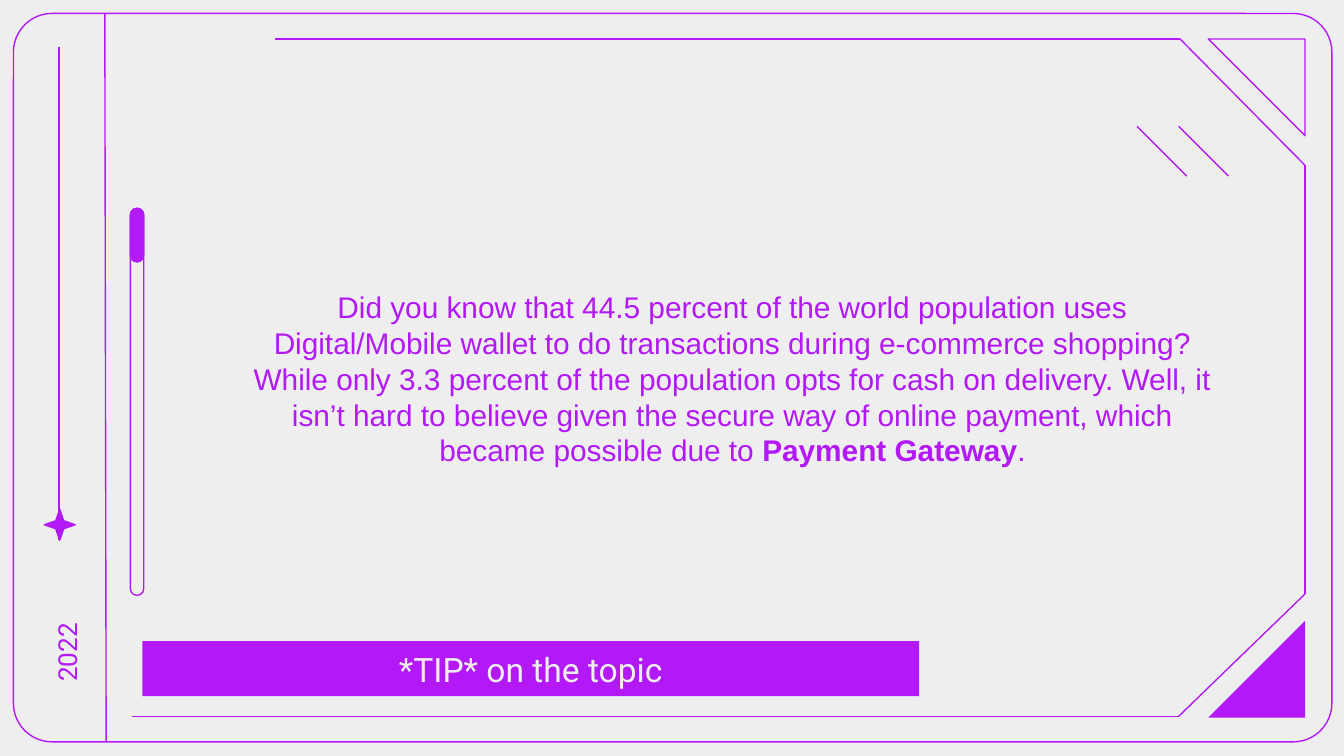
import dataclasses

import pptx
import pptx.dml.color
import pptx.enum.shapes
import pptx.enum.text
import pptx.oxml
import pptx.oxml.ns
import pptx.util

Inches = pptx.util.Inches
Pt = pptx.util.Pt
Kind = pptx.enum.shapes.MSO_SHAPE
Anchor = pptx.enum.text.MSO_ANCHOR
Align = pptx.enum.text.PP_ALIGN


@dataclasses.dataclass(frozen=True)
class Theme:
    paper: str = "EEEEEE"
    ink: str = "B219F6"
    title: int = 18
    body: int = 16
    year: int = 14
    line: float = 0.75
    sans: str = "Arial"
    head: str = "Roboto"


THEME = Theme()


def rgb(code):
    return pptx.dml.color.RGBColor.from_string(code)


def add_line(slide, start, end):
    line = slide.shapes.add_connector(
        pptx.enum.shapes.MSO_CONNECTOR.STRAIGHT,
        *(Inches(v) for v in (*start, *end)))
    line.line.color.rgb = rgb(THEME.ink)
    line.line.width = Pt(THEME.line)
    props = line._element.spPr
    props.append(pptx.oxml.parse_xml(
        "<a:effectLst %s/>" % pptx.oxml.ns.nsdecls("a")))


def add_path(slide, points):
    """Draw one straight line between each pair of neighbours."""
    for start, end in zip(points, points[1:]):
        add_line(slide, start, end)


def add_shape(slide, kind, box, fill=False, edge=True, adjust=None, turn=0):
    shape = slide.shapes.add_shape(kind, *(Inches(v) for v in box))
    shape.shadow.inherit = False
    shape.rotation = turn
    if adjust is not None:
        shape.adjustments[0] = adjust
    if fill:
        shape.fill.solid()
        shape.fill.fore_color.rgb = rgb(THEME.ink)
    else:
        shape.fill.background()
    if edge:
        shape.line.color.rgb = rgb(THEME.ink)
        shape.line.width = Pt(THEME.line)
    else:
        shape.line.fill.background()
    return shape


def set_text(shape, parts, size, face, color, anchor=Anchor.MIDDLE):
    """Fill a shape with one centred paragraph of (text, bold) parts."""
    frame = shape.text_frame
    frame.word_wrap = True
    frame.vertical_anchor = anchor
    para = frame.paragraphs[0]
    para.alignment = Align.CENTER
    for text, bold in parts:
        run = para.add_run()
        run.text = text
        run.font.size = Pt(size)
        run.font.name = face
        run.font.bold = bold
        run.font.color.rgb = rgb(color)


def add_text(slide, box, *args, **style):
    shape = slide.shapes.add_textbox(*(Inches(v) for v in box))
    set_text(shape, *args, **style)
    return shape


def add_frame(slide):
    add_shape(slide, Kind.ROUNDED_RECTANGLE, (0.1, 0.1, 9.81, 5.42),
              adjust=0.053)
    add_line(slide, (0.78, 0.1), (0.79, 5.52))
    add_path(slide, [(2.05, 0.29), (8.78, 0.29), (9.71, 1.23),
                     (9.71, 4.42), (8.77, 5.33), (0.98, 5.33)])
    add_shape(slide, Kind.RIGHT_TRIANGLE, (8.99, 4.62, 0.72, 0.72),
              fill=True, edge=False, turn=270)
    add_shape(slide, Kind.RIGHT_TRIANGLE, (8.99, 0.29, 0.72, 0.72), turn=180)


def add_marks(slide):
    for left in (8.46, 8.77):
        add_line(slide, (left, 0.94), (left + 0.37, 1.31))
    for height, fill in ((2.88, False), (0.4, True)):
        add_shape(slide, Kind.ROUNDED_RECTANGLE, (0.97, 1.55, 0.1, height),
                  fill=fill, adjust=0.5)


def add_words(slide):
    bar = add_shape(slide, Kind.RECTANGLE, (1.06, 4.77, 5.78, 0.41),
                    fill=True, edge=False)
    set_text(bar, [("*TIP* on the topic", False)],
             THEME.title, THEME.head, THEME.paper)
    fact = ("Did you know that 44.5 percent of the world population uses "
            "Digital/Mobile wallet to do transactions during e-commerce "
            "shopping? While only 3.3 percent of the population opts for "
            "cash on delivery. Well, it isn’t hard to believe given the "
            "secure way of online payment, which became possible due to ")
    add_text(slide, (1.75, 2.11, 7.4, 1.41),
             [(fact, False), ("Payment Gateway", True), (".", False)],
             THEME.body, THEME.sans, THEME.ink)


def add_year(slide):
    year = add_text(slide, (-0.03, 4.74, 0.95, 0.23), [("2022", False)],
                    THEME.year, THEME.head, THEME.ink, anchor=Anchor.TOP)
    year.rotation = 270
    add_shape(slide, Kind.STAR_4_POINT, (0.33, 3.79, 0.23, 0.23),
              fill=True, adjust=0.182)
    add_line(slide, (0.44, 4.02), (0.44, 0.35))


def main():
    deck = pptx.Presentation()
    deck.slide_width = Inches(10)
    deck.slide_height = Inches(10 * 9 / 16)
    slide = deck.slides.add_slide(deck.slide_layouts[6])
    slide.background.fill.solid()
    slide.background.fill.fore_color.rgb = rgb(THEME.paper)
    add_frame(slide)
    add_words(slide)
    add_marks(slide)
    add_year(slide)
    deck.save("out.pptx")


if __name__ == "__main__":
    main()
